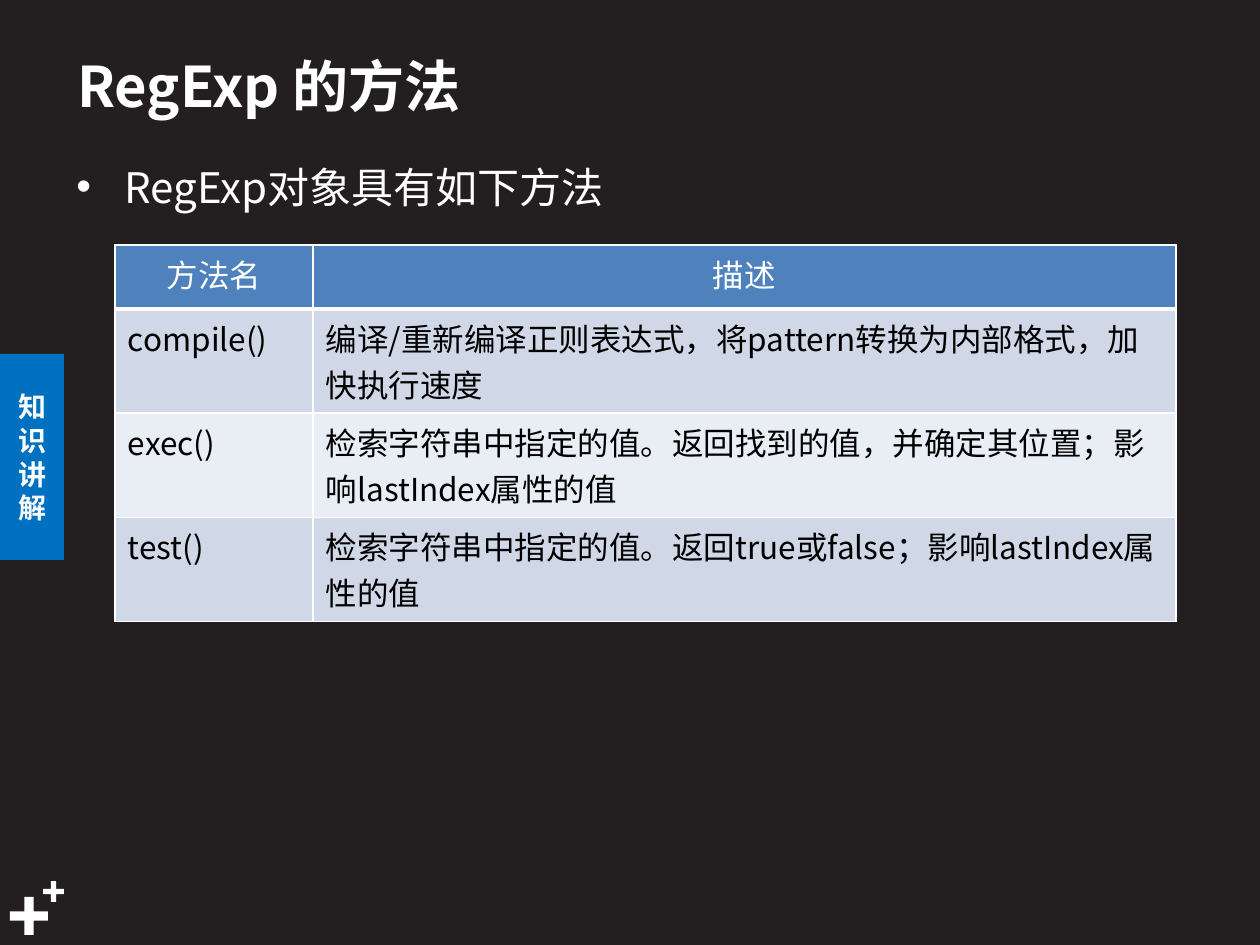
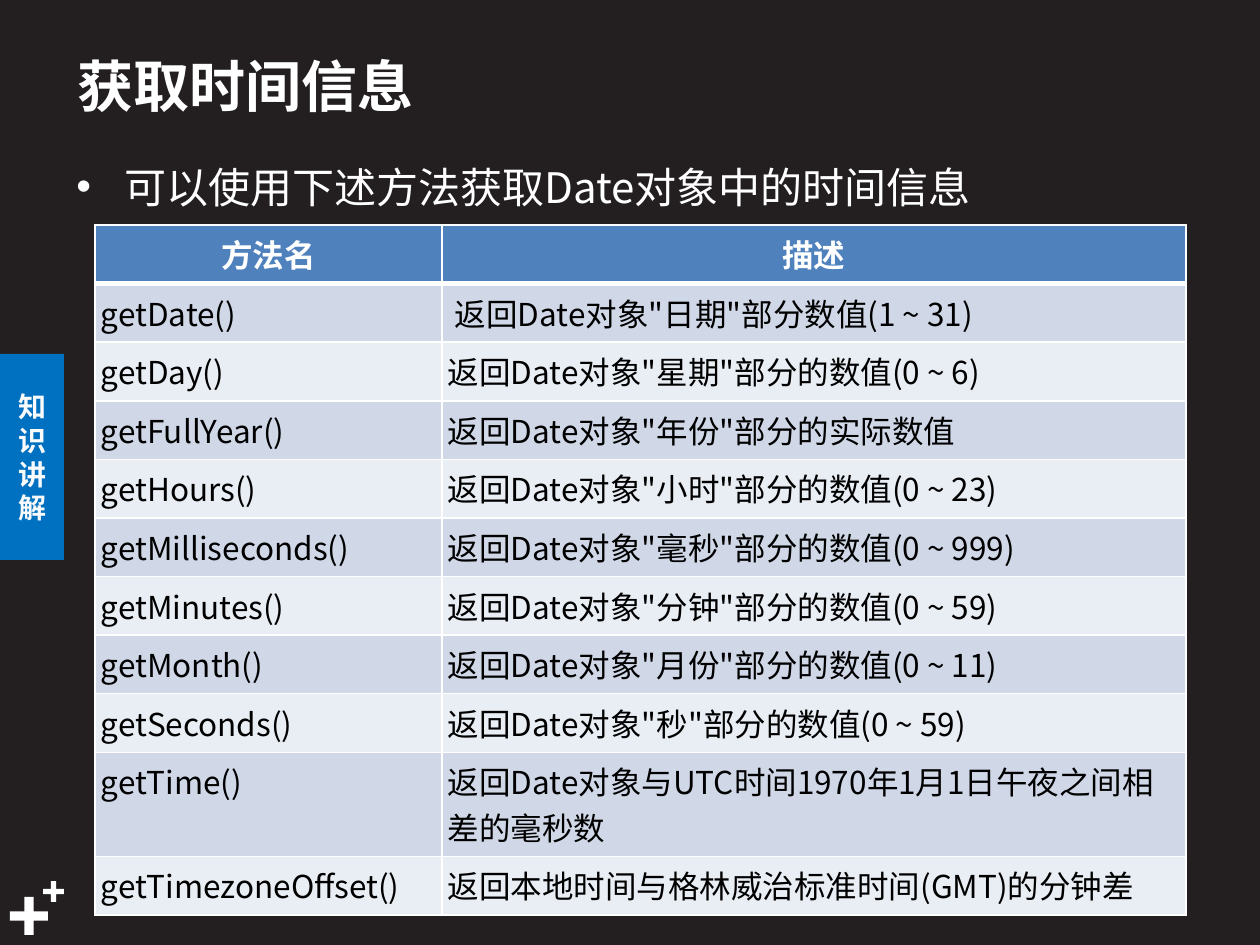
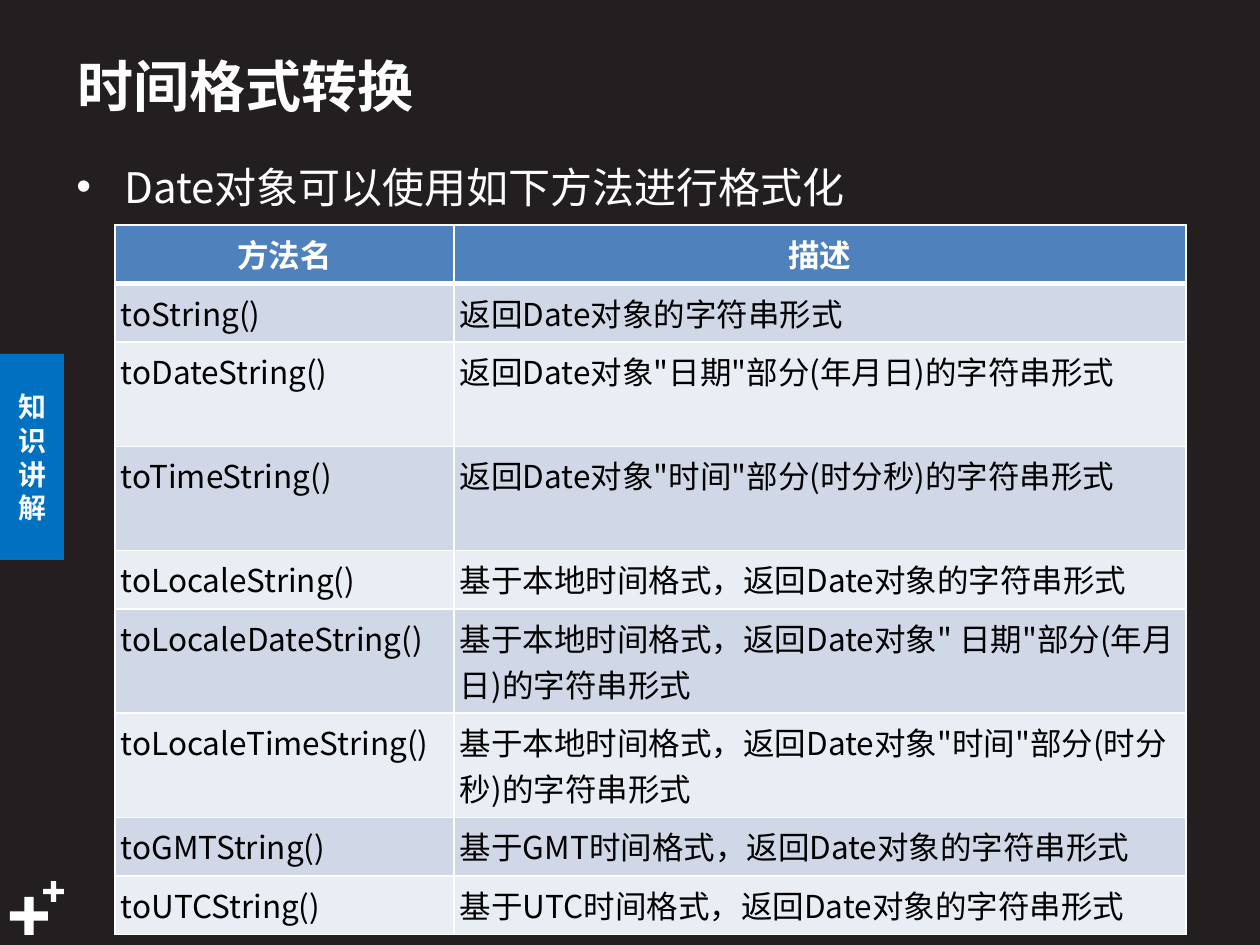
from lxml import etree
from pptx import Presentation
from pptx.dml.color import RGBColor
from pptx.enum.shapes import MSO_SHAPE
from pptx.enum.text import MSO_ANCHOR, PP_ALIGN
from pptx.oxml.ns import qn
from pptx.util import Emu, Pt

EMU_PER_PX = 914400 / 126
FONT = "Noto Sans CJK SC"
RECTANGLE, CROSS = MSO_SHAPE.RECTANGLE, MSO_SHAPE.CROSS
TOP, MIDDLE = MSO_ANCHOR.TOP, MSO_ANCHOR.MIDDLE
LEFT, CENTER = PP_ALIGN.LEFT, PP_ALIGN.CENTER

BACKGROUND = RGBColor(0x23, 0x1F, 0x20)
WHITE = RGBColor(0xFF, 0xFF, 0xFF)
BLACK = RGBColor(0x00, 0x00, 0x00)
TAB_BLUE = RGBColor(0x00, 0x70, 0xC0)
TAB_TEXT = RGBColor(0xF9, 0xFA, 0xFB)
HEADER_BLUE = RGBColor(0x4F, 0x81, 0xBD)
BANDS = (RGBColor(0xD0, 0xD8, 0xE8), RGBColor(0xE9, 0xED, 0xF4))

TITLE_BOX = (65, 36, 932, 98)
LEAD_BOX = (64, 145, 1111, 68)
TAB_BOX = (0, 354, 64, 206)
PLUS_BOXES = ((10, 897, 38, 38), (43, 881, 21, 21))
BULLET_INDENT = 48
WIDE_MARGIN, NARROW_MARGIN = 13, 6
LINE_HEIGHT, ROW_PADDING = Pt(26), Pt(7.5)

HEADINGS = ("方法名", "描述")
REGEXP_METHODS = (
    ("compile()", "编译/重新编译正则表达式，将pattern转换为内部格式，加快执行速度"),
    ("exec()", "检索字符串中指定的值。返回找到的值，并确定其位置；影响lastIndex属性的值"),
    ("test()", "检索字符串中指定的值。返回true或false；影响lastIndex属性的值"),
)
GETTERS = (
    ("getDate()", '返回Date对象"日期"部分数值(1 ~ 31)'),
    ("getDay()", '返回Date对象"星期"部分的数值(0 ~ 6)'),
    ("getFullYear()", '返回Date对象"年份"部分的实际数值'),
    ("getHours()", '返回Date对象"小时"部分的数值(0 ~ 23)'),
    ("getMilliseconds()", '返回Date对象"毫秒"部分的数值(0 ~ 999)'),
    ("getMinutes()", '返回Date对象"分钟"部分的数值(0 ~ 59)'),
    ("getMonth()", '返回Date对象"月份"部分的数值(0 ~ 11)'),
    ("getSeconds()", '返回Date对象"秒"部分的数值(0 ~ 59)'),
    ("getTime()", "返回Date对象与UTC时间1970年1月1日午夜之间相差的毫秒数"),
    ("getTimezoneOffset()", "返回本地时间与格林威治标准时间(GMT)的分钟差"),
)
FORMATTERS = (
    ("toString()", "返回Date对象的字符串形式"),
    ("toDateString()", '返回Date对象"日期"部分(年月日)的字符串形式'),
    ("toTimeString()", '返回Date对象"时间"部分(时分秒)的字符串形式'),
    ("toLocaleString()", "基于本地时间格式，返回Date对象的字符串形式"),
    ("toLocaleDateString()", '基于本地时间格式，返回Date对象" 日期"部分(年月日)的字符串形式'),
    ("toLocaleTimeString()", '基于本地时间格式，返回Date对象"时间"部分(时分秒)的字符串形式'),
    ("toGMTString()", "基于GMT时间格式，返回Date对象的字符串形式"),
    ("toUTCString()", "基于UTC时间格式，返回Date对象的字符串形式"),
)


def px(length):
    return Emu(round(length * EMU_PER_PX))


def place(box):
    return [px(length) for length in box]


def write(frame, text, size=18, color=WHITE, bold=False, align=LEFT,
          anchor=TOP, line_spacing=None, bullet=None):
    frame.word_wrap = True
    frame.vertical_anchor = anchor
    para = frame.paragraphs[0]
    para.alignment = align
    para.line_spacing = line_spacing
    if bullet:
        properties = para._p.get_or_add_pPr()
        properties.set("marL", str(px(BULLET_INDENT)))
        properties.set("indent", str(-px(BULLET_INDENT)))
        etree.SubElement(properties, qn("a:buFont"), typeface="Arial")
        etree.SubElement(properties, qn("a:buChar"), char=bullet)
    span = para.add_run()
    span.text = text
    span.font.size = Pt(size)
    span.font.bold = bold
    span.font.color.rgb = color
    span.font.name = FONT
    etree.SubElement(span._r.get_or_add_rPr(), qn("a:ea"), typeface=FONT)


def add_text(page, box, text, **style):
    write(page.shapes.add_textbox(*place(box)).text_frame, text, **style)


def add_block(page, kind, box, color):
    block = page.shapes.add_shape(kind, *place(box))
    block.shadow.inherit = False
    block.fill.solid()
    block.fill.fore_color.rgb = color
    block.line.fill.background()
    return block


def add_frame(page):
    """Background, corner pluses and side tab shared by every slide."""
    page.background.fill.solid()
    page.background.fill.fore_color.rgb = BACKGROUND
    for box in PLUS_BOXES:
        add_block(page, CROSS, box, WHITE).adjustments[0] = 0.378
    tab = add_block(page, RECTANGLE, TAB_BOX, TAB_BLUE)
    write(tab.text_frame, "知识讲解", size=16, color=TAB_TEXT, bold=True,
          align=CENTER, anchor=MIDDLE, line_spacing=Pt(19.2))


def set_borders(cell, widths):
    """Draw white left, right, top and bottom borders, widths in points."""
    properties = cell._tc.get_or_add_tcPr()
    for side, width in zip("LRTB", widths):
        line = etree.SubElement(properties, qn(f"a:ln{side}"), w=str(Pt(width)))
        fill = etree.SubElement(line, qn("a:solidFill"))
        etree.SubElement(fill, qn("a:srgbClr"), val=str(WHITE))


def fill_cell(cell, text, fill, borders, margin, **style):
    set_borders(cell, borders)
    cell.fill.solid()
    cell.fill.fore_color.rgb = fill
    cell.margin_left = cell.margin_right = px(margin)
    cell.margin_top = cell.margin_bottom = px(NARROW_MARGIN)
    write(cell.text_frame, text, **style)


def row_height(line_count):
    return Emu(LINE_HEIGHT * line_count + ROW_PADDING)


def add_method_table(page, left, top, columns, methods, two_line_rows,
                     margin=NARROW_MARGIN, bold_header=True):
    row_count = len(methods) + 1
    table = page.shapes.add_table(
        row_count, len(columns), px(left), px(top),
        px(sum(columns)), row_height(row_count)).table
    for column, width in zip(table.columns, columns):
        column.width = px(width)
    for number, row in enumerate(table.rows):
        row.height = row_height(2 if number in two_line_rows else 1)
    for index, heading in enumerate(HEADINGS):
        fill_cell(table.cell(0, index), heading, HEADER_BLUE, (1, 1, 1, 3),
                  WIDE_MARGIN, bold=bold_header, align=CENTER)
    for number, method in enumerate(methods, start=1):
        borders = (1, 1, 3 if number == 1 else 1, 1)
        for index, text in enumerate(method):
            fill_cell(table.cell(number, index), text, BANDS[(number - 1) % 2],
                      borders, margin, color=BLACK)
    return table


def add_method_page(deck, title, lead, **table_format):
    page = deck.slides.add_slide(deck.slide_layouts[6])
    add_frame(page)
    add_text(page, TITLE_BOX, title, size=32, bold=True, anchor=MIDDLE)
    add_text(page, LEAD_BOX, lead, size=24, line_spacing=1.2, bullet="•")
    return add_method_table(page, **table_format)


def main():
    deck = Presentation()
    deck.slide_width, deck.slide_height = px(1260), px(945)
    regexp = add_method_page(deck, "RegExp 的方法", "RegExp对象具有如下方法",
                             left=115, top=245, columns=(198, 863),
                             methods=REGEXP_METHODS, two_line_rows=(1, 2, 3),
                             margin=WIDE_MARGIN, bold_header=False)
    regexp.rows[0].height = px(64)
    getters = add_method_page(deck, "获取时间信息",
                              "可以使用下述方法获取Date对象中的时间信息",
                              left=95, top=225, columns=(347, 744),
                              methods=GETTERS, two_line_rows=(9,))
    getters.cell(1, 1).margin_left = px(WIDE_MARGIN)
    add_method_page(deck, "时间格式转换", "Date对象可以使用如下方法进行格式化",
                    left=115, top=225, columns=(339, 732),
                    methods=FORMATTERS, two_line_rows=(2, 3, 5, 6))
    deck.save("out.pptx")


if __name__ == "__main__":
    main()
